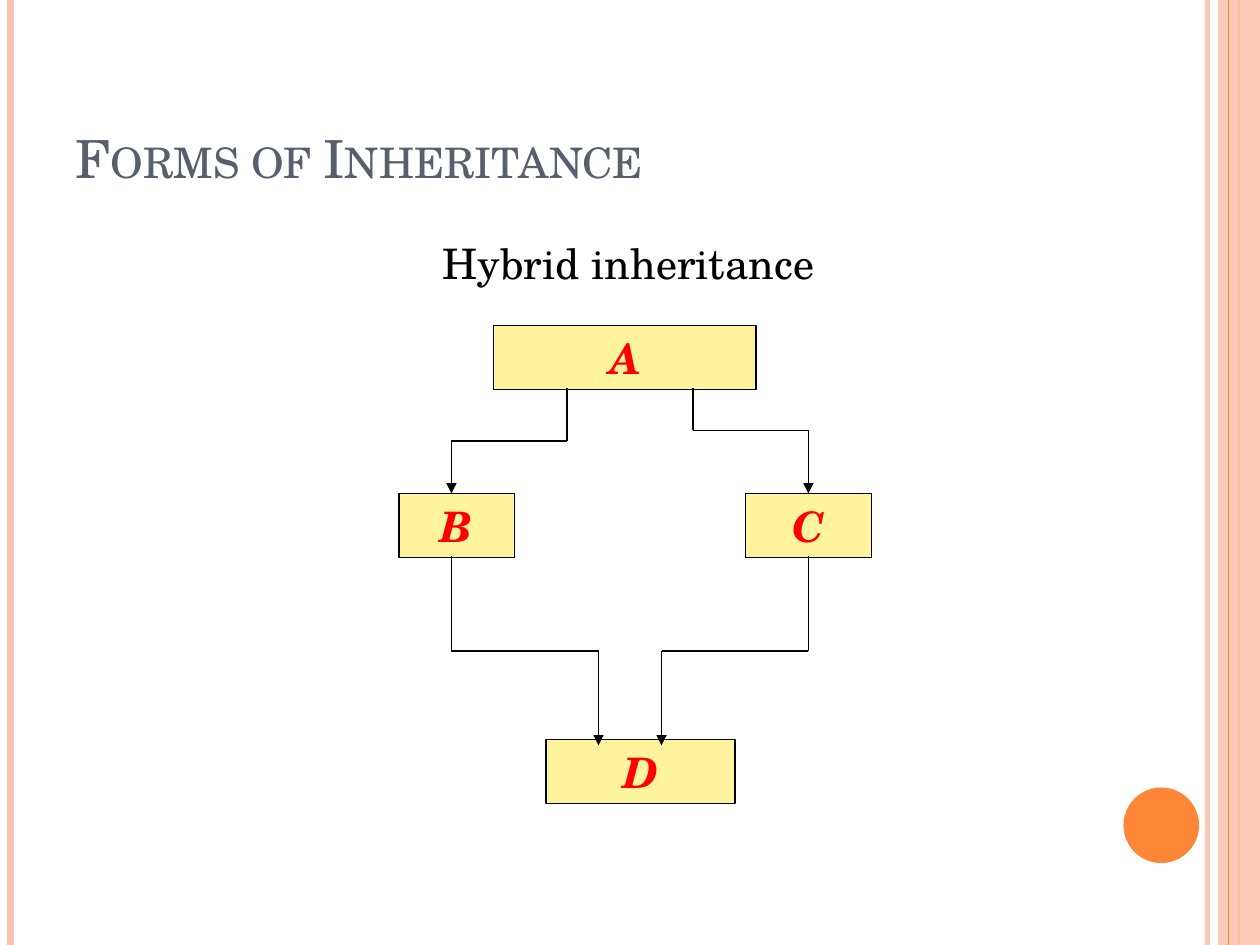
from dataclasses import dataclass
from itertools import pairwise

from lxml import etree
from pptx import Presentation
from pptx.dml.color import RGBColor
from pptx.enum.shapes import MSO_CONNECTOR, MSO_SHAPE
from pptx.enum.text import MSO_ANCHOR, MSO_AUTO_SIZE, PP_ALIGN
from pptx.oxml.ns import qn
from pptx.util import Inches, Pt

RECTANGLE, OVAL = MSO_SHAPE.RECTANGLE, MSO_SHAPE.OVAL
STRAIGHT = MSO_CONNECTOR.STRAIGHT
MIDDLE, BOTTOM, TOP = MSO_ANCHOR.MIDDLE, MSO_ANCHOR.BOTTOM, MSO_ANCHOR.TOP
CENTER, LEFT = PP_ALIGN.CENTER, PP_ALIGN.LEFT
FIT_SHAPE = MSO_AUTO_SIZE.SHAPE_TO_FIT_TEXT

COLORS = {
    "peach": "FEC3AE", "orange": "FE8637", "yellow": "FFF39D",
    "slate": "575F6D", "red": "FF0000", "black": "000000",
}
FONT = "TeX Gyre Schola"
CELL = Inches(1) // 12  # the slide is a grid of 120 columns by 90 rows
COLUMNS, ROWS = 120, 90
BOX_ROWS = 6.1


@dataclass(frozen=True)
class Stripe:
    column: float
    color: str
    weight: float
    opacity: int = 100


@dataclass(frozen=True)
class ClassBox:
    name: str
    column: float
    row: float
    columns: float


@dataclass(frozen=True)
class Route:
    """An arrow that goes down, across and down again."""
    start_column: float
    start_row: float
    turn_row: float
    end_column: float
    end_row: float


LEFT_STRIPES = [Stripe(115, "peach", 3, 93), Stripe(1, "peach", 4.5),
                Stripe(118, "orange", 1.5)]
TOP_STRIPE = Stripe(117, "orange", 0.75)
CLASS_BOXES = [ClassBox("A", 47, 31, 25), ClassBox("B", 38, 47, 11),
               ClassBox("C", 71, 47, 12), ClassBox("D", 52, 70.4, 18)]
ROUTES = [Route(54, 37, 42, 43, 47), Route(66, 37, 41, 77, 47),
          Route(43, 53, 62, 57, 71), Route(77, 53, 62, 63, 71)]


def cells(*counts: float) -> list[int]:
    return [round(count * CELL) for count in counts]


def set_opacity(properties, opacity: int) -> None:
    if opacity < 100:
        color = next(properties.iter(qn("a:srgbClr")))
        etree.SubElement(color, qn("a:alpha"), val=str(opacity * 1000))


def add_line(slide, start: tuple, end: tuple, color: str, weight: float,
             opacity: int = 100, arrow: bool = False) -> None:
    connector = slide.shapes.add_connector(STRAIGHT, *cells(*start, *end))
    connector.line.color.rgb = RGBColor.from_string(COLORS[color])
    connector.line.width = Pt(weight)
    properties = connector._element.spPr
    set_opacity(properties, opacity)
    if arrow:
        etree.SubElement(properties.find(qn("a:ln")), qn("a:tailEnd"), type="triangle")
    etree.SubElement(properties, qn("a:effectLst"))


def add_stripe(slide, stripe: Stripe) -> None:
    add_line(slide, (stripe.column, 0), (stripe.column, ROWS),
             stripe.color, stripe.weight, stripe.opacity)


def add_filled(slide, kind, area: tuple, color: str, opacity: int = 100):
    shape = slide.shapes.add_shape(kind, *cells(*area))
    shape.shadow.inherit = False
    shape.fill.solid()
    shape.fill.fore_color.rgb = RGBColor.from_string(COLORS[color])
    set_opacity(shape._element.spPr, opacity)
    shape.line.fill.background()
    return shape


def write_text(shape, text: str, color: str, frame_format: dict,
               font_format: dict, alignment=LEFT):
    frame = shape.text_frame
    for name, value in frame_format.items():
        setattr(frame, name, value)
    paragraph = frame.paragraphs[0]
    paragraph.alignment = alignment
    run = paragraph.add_run()
    run.text = text
    for name, value in {"name": FONT, **font_format}.items():
        setattr(run.font, name, value)
    run.font.color.rgb = RGBColor.from_string(COLORS[color])
    return run


def add_class_box(slide, box: ClassBox) -> None:
    shape = add_filled(slide, RECTANGLE, (box.column, box.row, box.columns, BOX_ROWS), "yellow")
    shape.line.color.rgb = RGBColor.from_string(COLORS["black"])
    shape.line.width = Pt(0.75)
    write_text(shape, box.name, "red",
               {"vertical_anchor": MIDDLE, "word_wrap": True, "auto_size": FIT_SHAPE},
               {"size": Pt(24), "bold": True, "italic": True}, CENTER)


def add_route(slide, route: Route) -> None:
    points = [(route.start_column, route.start_row), (route.start_column, route.turn_row),
              (route.end_column, route.turn_row), (route.end_column, route.end_row)]
    for start, end in pairwise(points):
        add_line(slide, start, end, "black", 0.75, arrow=end == points[-1])


def main() -> None:
    presentation = Presentation()
    presentation.slide_width, presentation.slide_height = cells(COLUMNS, ROWS)
    slide = presentation.slides.add_slide(presentation.slide_layouts[6])

    # Border decoration
    for stripe in LEFT_STRIPES:
        add_stripe(slide, stripe)
    add_filled(slide, RECTANGLE, (116, 0, 4, ROWS), "peach", 87)
    add_stripe(slide, TOP_STRIPE)
    add_filled(slide, OVAL, (107, 75, 7.2, 7.2), "orange")

    # Title and subtitle
    title = slide.shapes.add_textbox(*cells(6, 3.6, 98, 15))
    run = write_text(title, "Forms of Inheritance", "slate",
                     {"vertical_anchor": BOTTOM, "word_wrap": True}, {"size": Pt(30)})
    run.font._element.set("cap", "small")
    subtitle = slide.shapes.add_textbox(*cells(41, 22, 38, 6))
    write_text(subtitle, "Hybrid inheritance", "black",
               {"vertical_anchor": TOP, "word_wrap": False, "auto_size": FIT_SHAPE},
               {"size": Pt(24)})

    # Inheritance diagram
    for box in CLASS_BOXES:
        add_class_box(slide, box)
    for route in ROUTES:
        add_route(slide, route)

    presentation.save("out.pptx")


if __name__ == "__main__":
    main()
